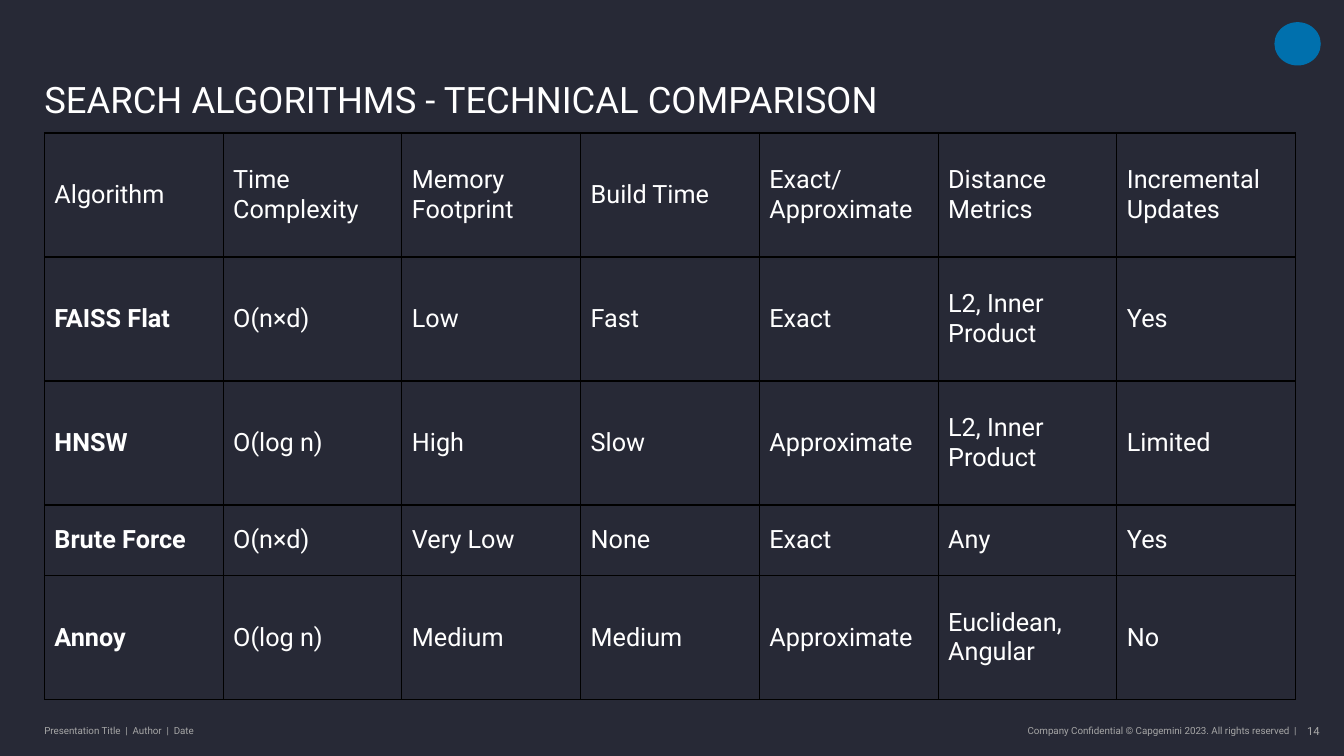
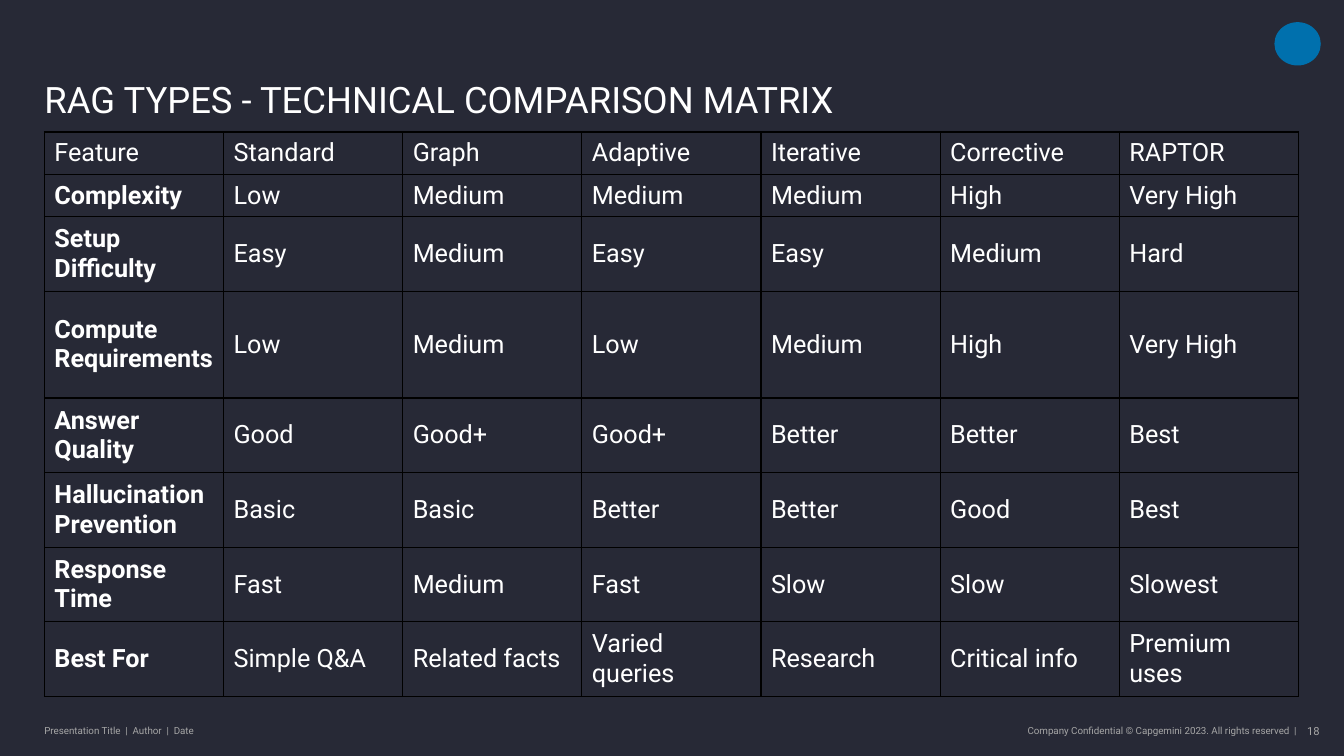
from lxml.etree import SubElement
from pptx import Presentation
from pptx.dml.color import RGBColor
from pptx.enum.shapes import MSO_SHAPE as Shape
from pptx.enum.text import MSO_ANCHOR as Anchor, MSO_AUTO_SIZE as Fit, PP_ALIGN as Align
from pptx.oxml.ns import qn
from pptx.util import Inches, Pt

FONT = "Roboto"
NAVY = RGBColor(0x27, 0x29, 0x36)
WHITE = RGBColor(0xFF, 0xFF, 0xFF)
GREY = RGBColor(0xA6, 0xA6, 0xA6)
BLUE = RGBColor(0x00, 0x70, 0xAD)
BLACK = RGBColor(0x00, 0x00, 0x00)
LEFT = 0.44

FOOTER = "Presentation Title  |  Author  |  Date"
RIGHTS = "Company Confidential © Capgemini 2023. All rights reserved  |"

SLIDES = [
    {
        "title": "SEARCH ALGORITHMS - TECHNICAL COMPARISON",
        "number": 14,
        "top": 1.32,
        "width": 12.41,
        "heights": [1.23, 1.23, 1.23, 0.7, 1.23],
        "rows": [
            ("Algorithm", "Time Complexity", "Memory Footprint", "Build Time",
             "Exact/Approximate", "Distance Metrics", "Incremental Updates"),
            ("FAISS Flat", "O(n×d)", "Low", "Fast", "Exact", "L2, Inner Product", "Yes"),
            ("HNSW", "O(log n)", "High", "Slow", "Approximate", "L2, Inner Product", "Limited"),
            ("Brute Force", "O(n×d)", "Very Low", "None", "Exact", "Any", "Yes"),
            ("Annoy", "O(log n)", "Medium", "Medium", "Approximate", "Euclidean, Angular", "No"),
        ],
    },
    {
        "title": "RAG TYPES - TECHNICAL COMPARISON MATRIX",
        "number": 18,
        "top": 1.31,
        "width": 12.44,
        "heights": [0.42, 0.42, 0.74, 1.06, 0.74, 0.74, 0.74, 0.74],
        "rows": [
            ("Feature", "Standard", "Graph", "Adaptive", "Iterative", "Corrective", "RAPTOR"),
            ("Complexity", "Low", "Medium", "Medium", "Medium", "High", "Very High"),
            ("Setup Difficulty", "Easy", "Medium", "Easy", "Easy", "Medium", "Hard"),
            ("Compute Requirements", "Low", "Medium", "Low", "Medium", "High", "Very High"),
            ("Answer Quality", "Good", "Good+", "Good+", "Better", "Better", "Best"),
            ("Hallucination Prevention", "Basic", "Basic", "Better", "Better", "Good", "Best"),
            ("Response Time", "Fast", "Medium", "Fast", "Slow", "Slow", "Slowest"),
            ("Best For", "Simple Q&A", "Related facts", "Varied queries", "Research",
             "Critical info", "Premium uses"),
        ],
    },
]


def style(par, size, color, bold=False):
    font = par.font
    font.name, font.size, font.bold = FONT, Pt(size), bold
    font.color.rgb = color


def set_text(shape, text, size, color, align=Align.LEFT, anchor=Anchor.MIDDLE):
    """Fill a text shape that has no side insets and return its paragraph."""
    frame = shape.text_frame
    frame.text = text
    frame.word_wrap, frame.auto_size = True, Fit.NONE
    frame.vertical_anchor = anchor
    frame.margin_left = frame.margin_right = 0
    frame.margin_top = frame.margin_bottom = 0
    par = frame.paragraphs[0]
    par.alignment = align
    style(par, size, color)
    return par


def add_frame(slide, title, number):
    """Add the title, the corner mark and the footer line."""
    head = slide.shapes.title
    head.left, head.top = Inches(LEFT), Inches(0.42)
    head.width, head.height = Inches(11.97), Inches(0.78)
    set_text(head, title, 26, WHITE, anchor=Anchor.BOTTOM).line_spacing = 0.9

    mark = slide.shapes.add_shape(
        Shape.OVAL, Inches(12.64), Inches(0.22), Inches(0.46), Inches(0.43))
    mark.shadow.inherit = False
    mark.fill.solid()
    mark.fill.fore_color.rgb = BLUE
    mark.line.fill.background()

    for left, width, text, size, align in [
        (LEFT, 3.73, FOOTER, 7, Align.LEFT),
        (7.9, 4.96, RIGHTS, 7, Align.RIGHT),
        (12.84, 0.25, str(number), 8, Align.RIGHT),
    ]:
        box = slide.shapes.add_textbox(
            Inches(left), Inches(7.13), Inches(width), Inches(0.24))
        set_text(box, text, size, GREY, align)


def add_borders(cell):
    props = cell._tc.get_or_add_tcPr()
    for side in ("a:lnL", "a:lnR", "a:lnT", "a:lnB"):
        line = SubElement(props, qn(side), w=str(Pt(1)))
        fill = SubElement(line, qn("a:solidFill"))
        SubElement(fill, qn("a:srgbClr"), val=str(BLACK))


def add_grid(slide, rows, heights, top, width):
    count = len(rows[0])
    table = slide.shapes.add_table(
        len(rows), count, Inches(LEFT), Inches(top),
        Inches(width), Inches(sum(heights))).table
    table.first_row = table.horz_banding = False
    for col in table.columns:
        col.width = Inches(width / count)
    for r, (row, height) in enumerate(zip(rows, heights)):
        table.rows[r].height = Inches(height)
        for c, text in enumerate(row):
            cell = table.cell(r, c)
            cell.text = text
            cell.vertical_anchor = Anchor.MIDDLE
            add_borders(cell)
            cell.fill.background()
            style(cell.text_frame.paragraphs[0], 18, WHITE, bold=r > 0 and c == 0)


def main():
    prs = Presentation()
    prs.slide_width, prs.slide_height = Inches(13.33), Inches(7.5)
    back = prs.slide_master.background.fill
    back.solid()
    back.fore_color.rgb = NAVY
    for item in SLIDES:
        slide = prs.slides.add_slide(prs.slide_layouts[5])
        add_frame(slide, item["title"], item["number"])
        add_grid(slide, item["rows"], item["heights"], item["top"], item["width"])
    prs.save("out.pptx")


if __name__ == "__main__":
    main()
